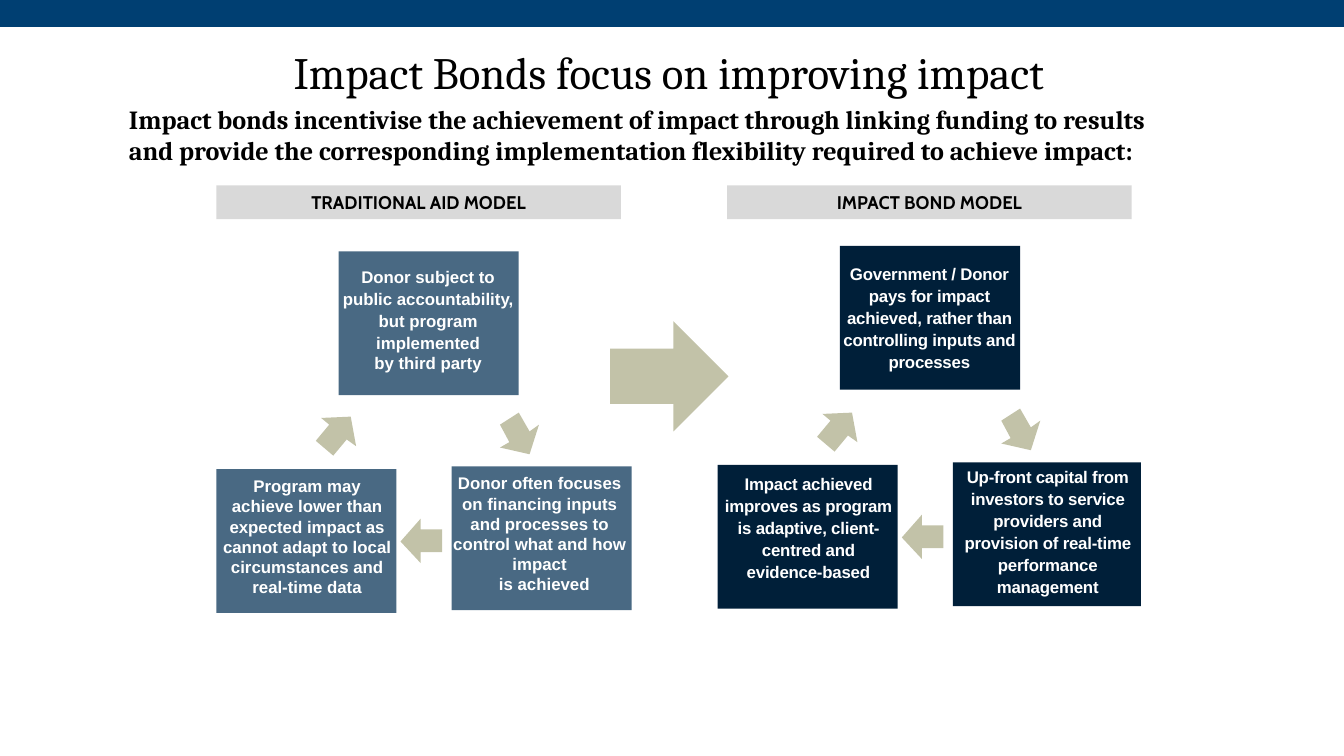
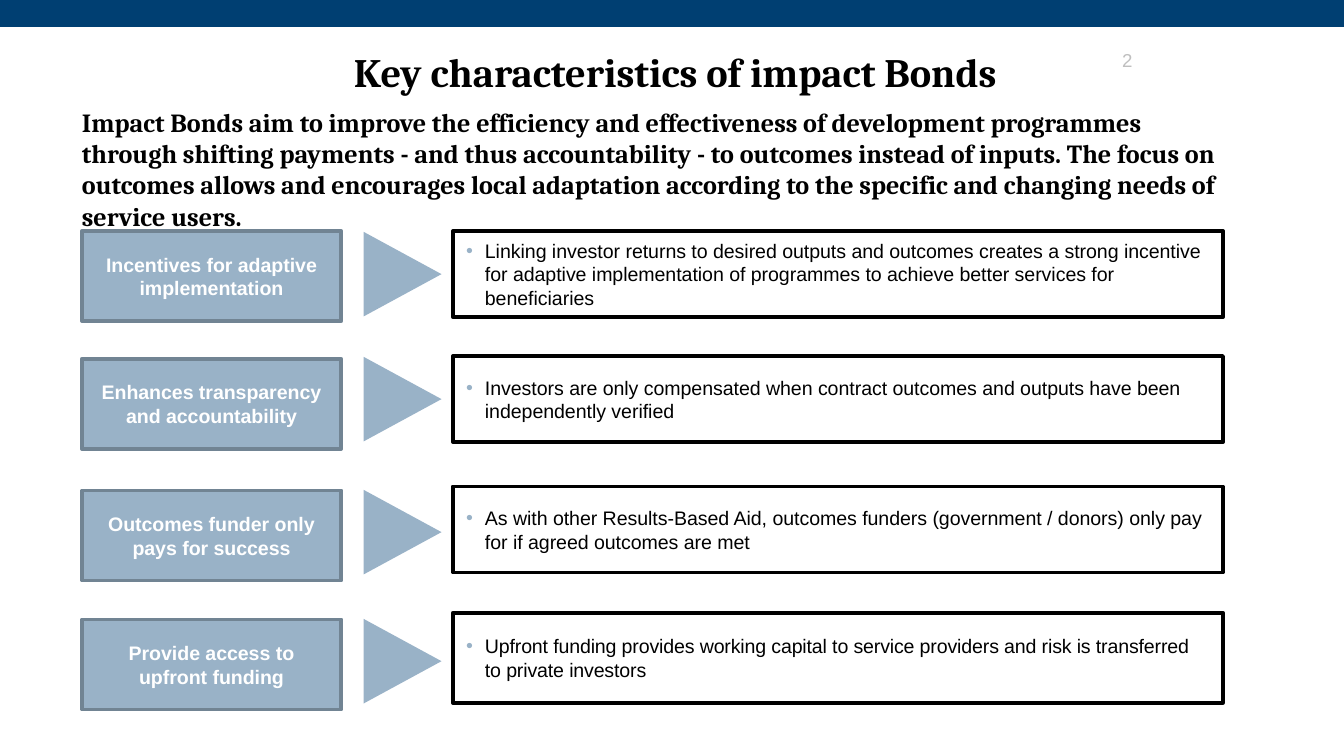
from dataclasses import dataclass, replace

from lxml.etree import SubElement
from pptx import Presentation
from pptx.dml.color import RGBColor
from pptx.enum.shapes import MSO_SHAPE as Shp
from pptx.enum.text import MSO_ANCHOR as Anchor, PP_ALIGN as Align
from pptx.oxml.ns import qn
from pptx.util import Inches, Pt

COLORS = {
    "band": "003F72",
    "black": "000000",
    "white": "FFFFFF",
    "header": "D9D9D9",
    "aid": "496983",
    "bond": "001F39",
    "arrow": "C2C2A8",
    "label": "99B2C7",
    "label_line": "718493",
    "page": "BFBFBF",
}


@dataclass(frozen=True)
class Box:
    x: float
    y: float
    w: float
    h: float


@dataclass(frozen=True)
class Style:
    size: float
    color: str = "black"
    font: str = "Arial"
    bold: bool = False
    align: Align = Align.LEFT
    anchor: Anchor = Anchor.TOP
    insets: tuple[float, float, float, float] = (0, 0, 0, 0)
    line_spacing: float = 1.0
    spacing: float = 0
    bullet: bool = False


@dataclass(frozen=True)
class Stage:
    text: str
    box: Box
    text_box: Box
    line_spacing: float = 1.09
    closing_indent: float = 0


@dataclass(frozen=True)
class Model:
    header: str
    header_x: float
    color: str
    spacing: float
    dx: float
    dy: float
    stages: tuple[Stage, ...]


@dataclass(frozen=True)
class Trait:
    label: str
    detail: str
    label_y: float
    marker_y: float
    detail_y: float
    detail_h: float = 0.64
    spacing: float = 0


PADDED = (0.1, 0.05, 0.1, 0.05)
NUDGED = (0.01, 0, 0, 0)
TITLE = Style(24, font="Cambria", align=Align.CENTER)
LEAD = Style(14, font="Cambria", bold=True)
HEADER = Style(9.8, font="Cabin", bold=True, align=Align.CENTER, anchor=Anchor.MIDDLE)
STAGE = Style(9, "white", bold=True, align=Align.CENTER, insets=NUDGED)
LABEL = Style(10.5, "white", bold=True, align=Align.CENTER, anchor=Anchor.MIDDLE, insets=PADDED)
DETAIL = Style(10.5, anchor=Anchor.MIDDLE, insets=PADDED, bullet=True)
PAGE = Style(10, "page", align=Align.RIGHT, anchor=Anchor.MIDDLE, insets=PADDED)

CYCLE_ARROWS = (
    ((3.86, 3.07), (3.72, 3.16), (3.79, 3.29), (3.72, 3.33),
     (3.94, 3.38), (4.01, 3.16), (3.94, 3.21)),
    ((2.61, 3.1), (2.39, 3.11), (2.45, 3.16), (2.35, 3.28),
     (2.48, 3.39), (2.58, 3.27), (2.65, 3.32)),
    ((3.13, 3.86), (2.98, 4.03), (3.13, 4.19), (3.13, 4.11),
     (3.29, 4.11), (3.29, 3.94), (3.13, 3.94)),
)

MODELS = (
    Model("TRADITIONAL AID MODEL", 1.61, "aid", 0, 0, 0, (
        Stage("Donor often focuses on financing inputs and processes to control "
              "what and how impact\nis achieved",
              Box(3.36, 3.47, 1.34, 1.07), Box(3.36, 3.52, 1.3, 0.91), 1.0, 0.07),
        Stage("Program may achieve lower than expected impact as cannot adapt to "
              "local circumstances and real-time data",
              Box(1.61, 3.49, 1.34, 1.07), Box(1.65, 3.54, 1.26, 0.91), 1.0),
        Stage("Donor subject to public accountability, but program implemented\n"
              "by third party",
              Box(2.52, 1.87, 1.34, 1.07), Box(2.53, 1.97, 1.3, 0.81)),
    )),
    Model("IMPACT BOND MODEL", 5.41, "bond", -0.1, 3.73, -0.03, (
        Stage("Up-front capital from investors to service providers and provision "
              "of real-time performance management",
              Box(7.09, 3.44, 1.4, 1.07), Box(7.14, 3.46, 1.3, 0.99)),
        Stage("Impact achieved improves as program is adaptive, client-centred and "
              "evidence-based",
              Box(5.34, 3.46, 1.34, 1.07), Box(5.38, 3.51, 1.26, 0.83)),
        Stage("Government / Donor pays for impact achieved, rather than controlling "
              "inputs and processes",
              Box(6.25, 1.83, 1.34, 1.07), Box(6.26, 1.95, 1.3, 0.83)),
    )),
)

TRAITS = (
    Trait("Incentives for adaptive implementation",
          "Linking investor returns to desired outputs and outcomes creates a strong "
          "incentive for adaptive implementation of programmes to achieve better "
          "services for beneficiaries", 1.72, 1.75, 1.72),
    Trait("Enhances transparency and accountability",
          "Investors are only compensated when contract outcomes and outputs have "
          "been independently verified", 2.67, 2.68, 2.65),
    Trait("Outcomes funder only pays for success",
          "As with other Results-Based Aid, outcomes funders (government / donors) "
          "only pay for if agreed outcomes are met", 3.65, 3.67, 3.62),
    Trait("Provide access to upfront funding",
          "Upfront funding provides working capital to service providers and risk is "
          "transferred to private investors", 4.61, 4.63, 4.56, 0.67, -0.05),
)


def rgb(name: str) -> RGBColor:
    return RGBColor.from_string(COLORS[name])


def place(box: Box) -> tuple:
    return tuple(Inches(v) for v in (box.x, box.y, box.w, box.h))


def paint(sp, fill: str, line: str | None = None) -> None:
    sp.shadow.inherit = False
    sp.fill.solid()
    sp.fill.fore_color.rgb = rgb(fill)
    if line:
        sp.line.color.rgb = rgb(line)
        sp.line.width = Pt(2)
    else:
        sp.line.fill.background()


def add_bullet(p) -> None:
    pPr = p._p.get_or_add_pPr()
    pPr.set("marL", str(Inches(0.14)))
    pPr.set("indent", str(-Inches(0.14)))
    color = SubElement(pPr, qn("a:buClr"))
    SubElement(color, qn("a:srgbClr")).set("val", COLORS["label"])
    SubElement(pPr, qn("a:buFont")).set("typeface", "Arial")
    SubElement(pPr, qn("a:buChar")).set("char", "•")


def write(sp, text: str, style: Style):
    tf = sp.text_frame
    tf.word_wrap = True
    tf.vertical_anchor = style.anchor
    tf.margin_left, tf.margin_top, tf.margin_right, tf.margin_bottom = (
        Inches(v) for v in style.insets)
    tf.text = text
    for p in tf.paragraphs:
        p.alignment = style.align
        p.line_spacing = style.line_spacing
        if style.bullet:
            p.space_after = Pt(2.2)
            add_bullet(p)
        for r in p.runs:
            r.font.name = style.font
            r.font.size = Pt(style.size)
            r.font.bold = style.bold
            r.font.color.rgb = rgb(style.color)
            if style.spacing:
                r._r.get_or_add_rPr().set("spc", str(round(style.spacing * 100)))
    return tf


def add_text(s, box: Box, text: str, style: Style):
    return write(s.shapes.add_textbox(*place(box)), text, style)


def add_block(s, box: Box, fill: str, line: str | None = None, kind: Shp = Shp.RECTANGLE):
    sp = s.shapes.add_shape(kind, *place(box))
    paint(sp, fill, line)
    return sp


def add_slide(prs, title: str, title_box: Box, style: Style):
    s = prs.slides.add_slide(prs.slide_layouts[6])
    add_block(s, Box(0, 0, 10.02, 0.2), "band")
    add_text(s, title_box, title, style)
    return s


def add_stage(s, stage: Stage, model: Model) -> None:
    add_block(s, stage.box, model.color)
    style = replace(STAGE, line_spacing=stage.line_spacing, spacing=model.spacing)
    tf = add_text(s, stage.text_box, stage.text, style)
    for p in tf.paragraphs[1:]:
        p.line_spacing = 1.0
        p._p.get_or_add_pPr().set("marL", str(Inches(stage.closing_indent)))


def add_model(s, model: Model) -> None:
    for stage in model.stages:
        add_stage(s, stage, model)
    for outline in CYCLE_ARROWS:
        points = [(Inches(x + model.dx), Inches(y + model.dy)) for x, y in outline]
        builder = s.shapes.build_freeform(*points[0])
        builder.add_line_segments(points[1:])
        paint(builder.convert_to_shape(), "arrow")
    write(add_block(s, Box(model.header_x, 1.38, 3.01, 0.25), "header"), model.header, HEADER)


def add_trait(s, trait: Trait) -> None:
    label = add_block(s, Box(0.61, trait.label_y, 1.93, 0.67), "label", "label_line")
    write(label, trait.label, LABEL)
    marker = add_block(s, Box(2.68, trait.marker_y, 0.63, 0.58), "label",
                       kind=Shp.ISOSCELES_TRIANGLE)
    marker.rotation = 90
    detail = add_block(s, Box(3.37, trait.detail_y, 5.73, trait.detail_h), "white", "black")
    write(detail, trait.detail, replace(DETAIL, spacing=trait.spacing))


def build_focus(prs) -> None:
    s = add_slide(prs, "Impact Bonds focus on improving impact",
                  Box(0.95, 0.33, 8.05, 0.4), TITLE)
    for model in MODELS:
        add_model(s, model)
    add_block(s, Box(4.54, 2.39, 0.88, 0.82), "arrow", kind=Shp.RIGHT_ARROW)
    add_text(s, Box(0.95, 0.77, 7.87, 0.47),
             "Impact bonds incentivise the achievement of impact through linking funding "
             "to results and provide the corresponding implementation flexibility "
             "required to achieve impact:", replace(LEAD, insets=NUDGED))


def build_traits(prs) -> None:
    s = add_slide(prs, "Key characteristics of impact Bonds", Box(2.03, 0.35, 5.99, 0.41),
                  replace(TITLE, size=21.6, bold=True, insets=(0, 0, 0, 0.05)))
    add_text(s, Box(8.25, 0.3, 0.21, 0.3), "2", PAGE)
    add_text(s, Box(0.61, 0.74, 8.7, 1.04),
             "Impact Bonds aim to improve the efficiency and effectiveness of development "
             "programmes through shifting payments - and thus accountability - to "
             "outcomes instead of inputs. The focus on outcomes allows and encourages "
             "local adaptation according to the specific and changing needs of service "
             "users.", replace(LEAD, insets=(0, 0.05, 0.1, 0.05)))
    for trait in TRAITS:
        add_trait(s, trait)


def main() -> None:
    prs = Presentation()
    prs.slide_width = Inches(10)
    prs.slide_height = Inches(10 * 9 / 16)
    build_focus(prs)
    build_traits(prs)
    prs.save("out.pptx")


if __name__ == "__main__":
    main()
